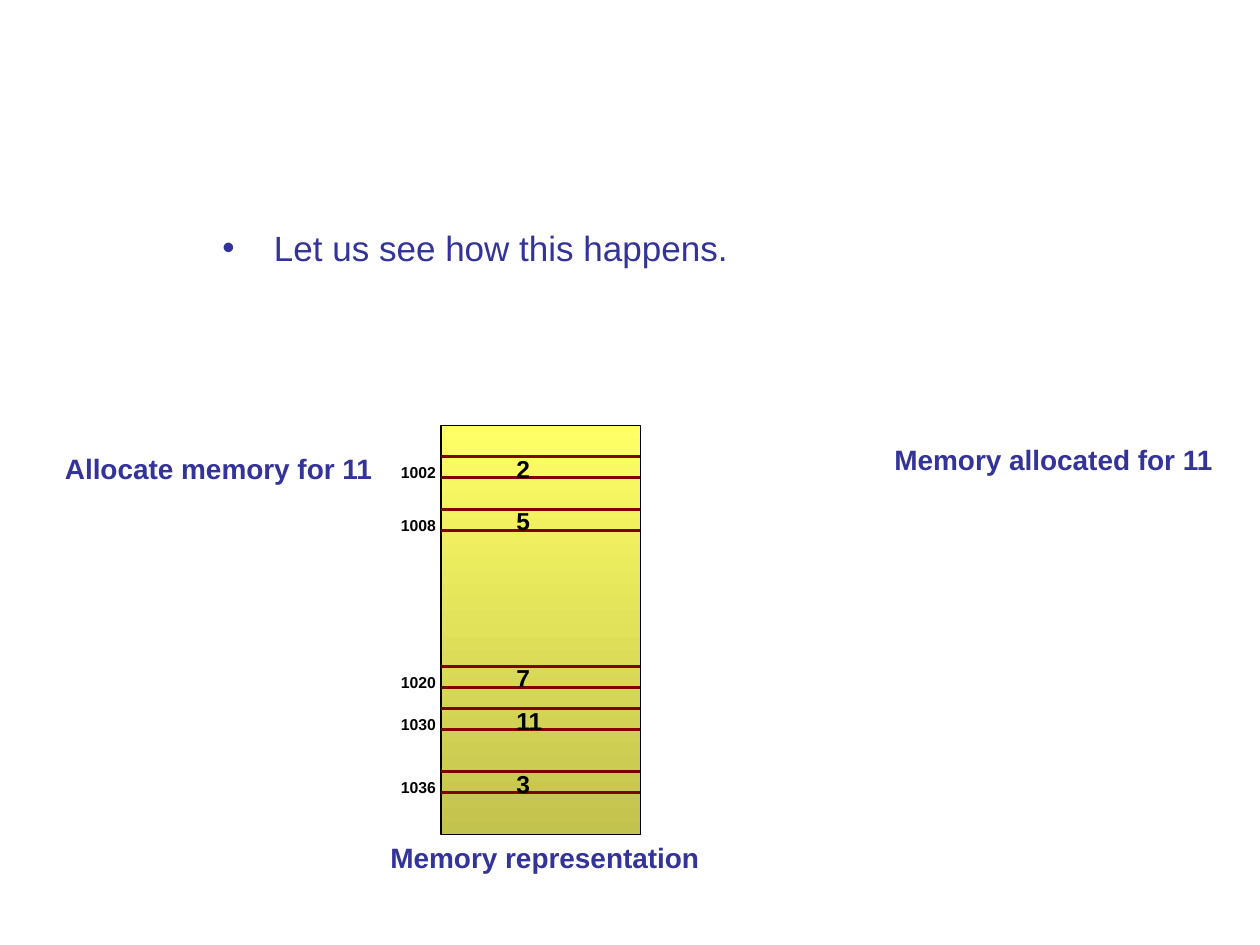
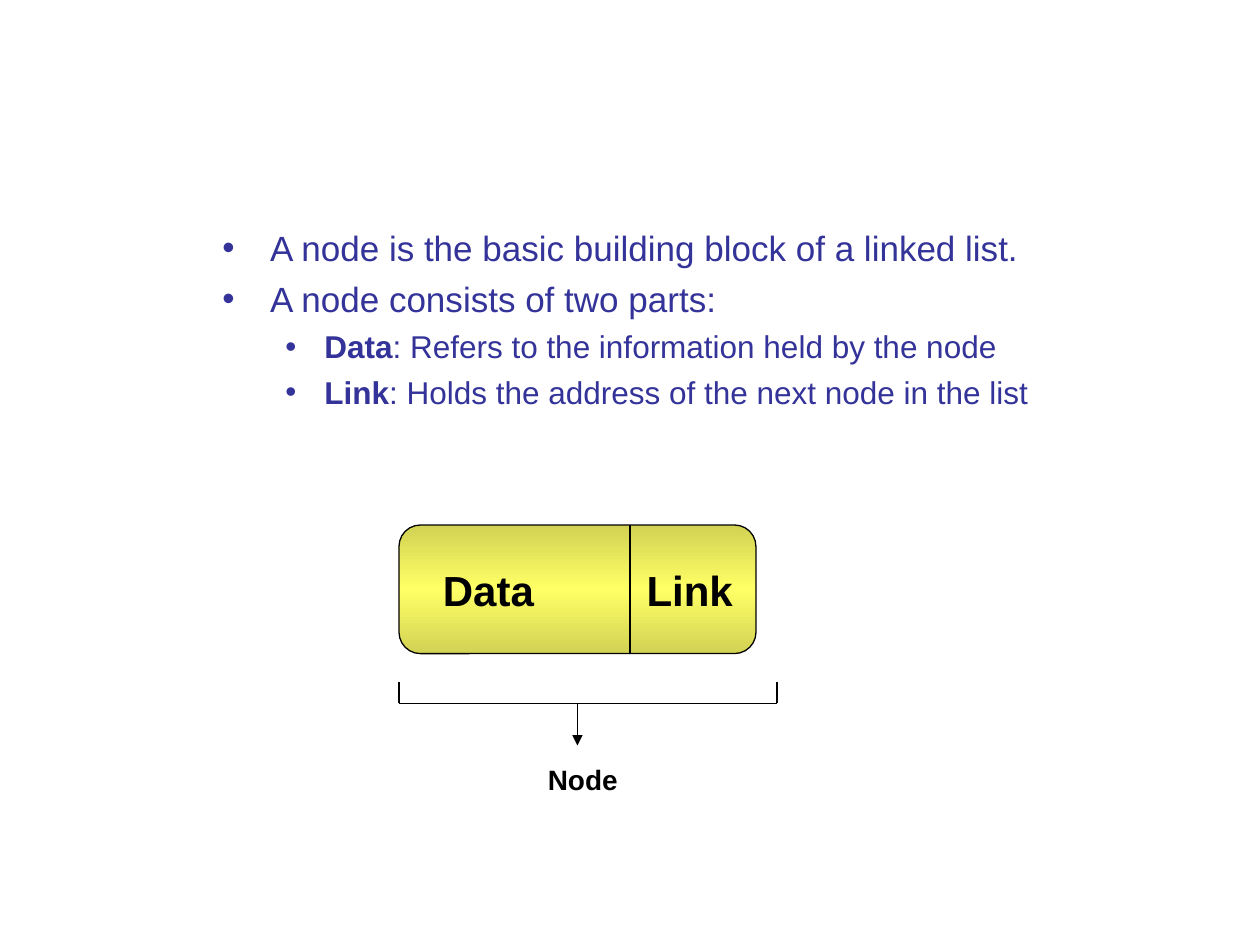
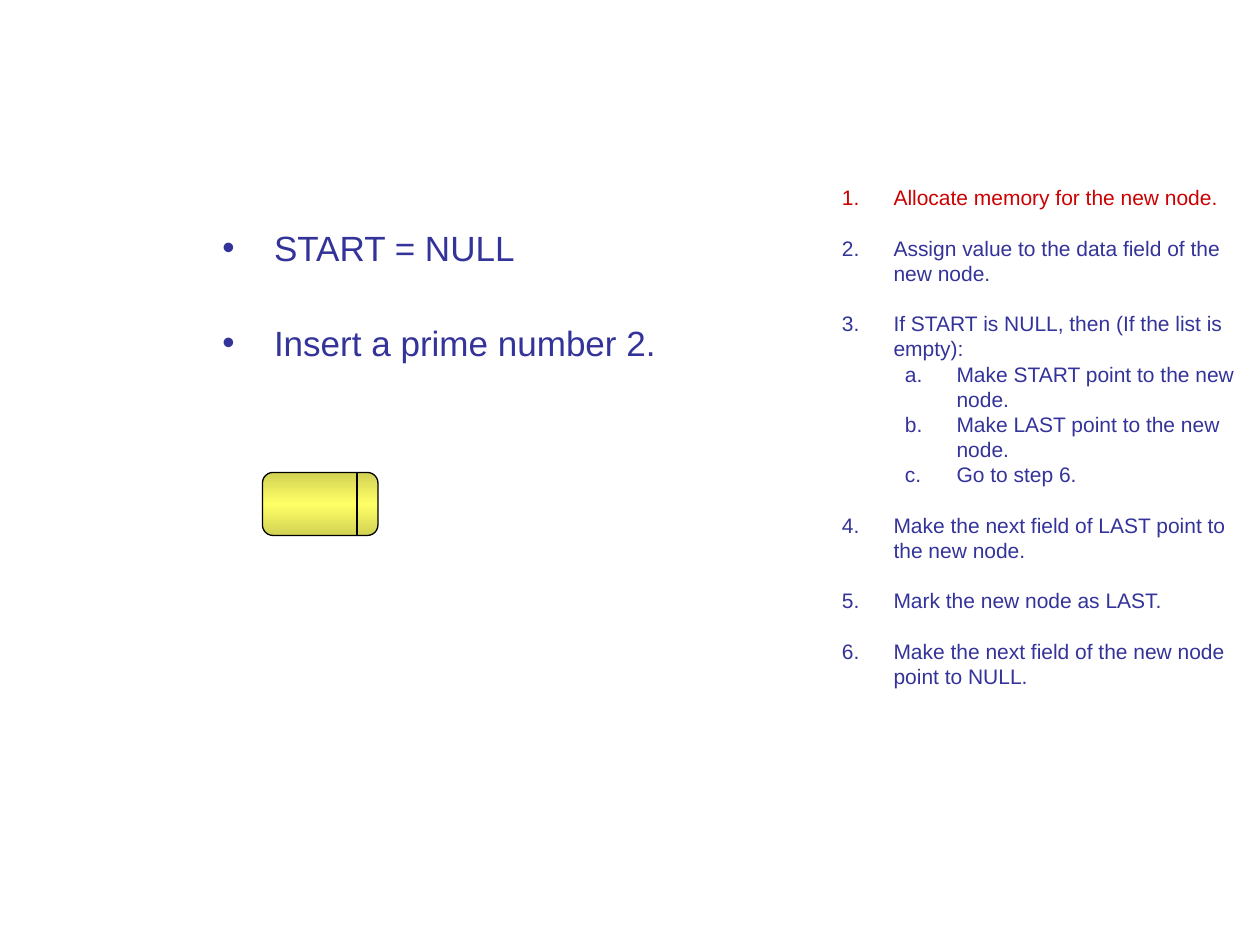
from copy import deepcopy

from lxml.etree import SubElement
from pptx import Presentation
from pptx.dml.color import RGBColor
from pptx.enum.shapes import MSO_CONNECTOR as CONNECTOR, MSO_SHAPE as SHAPE
from pptx.oxml.ns import qn
from pptx.util import Inches, Pt

COLS, ROWS = 120, 90
SLIDE_W, SLIDE_H = Inches(10), Inches(7.5)

FONT = "Arial"
INDIGO = RGBColor(0x33, 0x33, 0x99)
BLACK = RGBColor(0x00, 0x00, 0x00)
MAROON = RGBColor(0x80, 0x00, 0x00)
RED = RGBColor(0xCC, 0x00, 0x00)
YELLOW = RGBColor(0xFF, 0xFF, 0x66)
OLIVE = RGBColor(0xC2, 0xC2, 0x4E)
EDGE_YELLOW = RGBColor(0xD2, 0xD2, 0x54)

# address, value, first row of each cell in memory
MEMORY_CELLS = [
    ("1002", "2", 43.5),
    ("1008", "5", 48.5),
    ("1020", "7", 63.5),
    ("1030", "11", 67.5),
    ("1036", "3", 73.5),
]

# level, text
STEPS = [
    (0, "Allocate memory for the new node."),
    (0, "Assign value to the data field of the new node."),
    (0, "If START is NULL, then (If the list is empty):"),
    (1, "Make START point to the new node."),
    (1, "Make LAST point to the new node."),
    (1, "Go to step 6."),
    (0, "Make the next field of LAST point to the new node."),
    (0, "Mark the new node as LAST."),
    (0, "Make the next field of the new node point to NULL."),
]


def col(n):
    return round(SLIDE_W * n / COLS)


def row(n):
    return round(SLIDE_H * n / ROWS)


def add_box(slide, x, y, w, h):
    tf = slide.shapes.add_textbox(col(x), row(y), col(w), row(h)).text_frame
    tf.word_wrap = True
    return tf


def set_bullet(p, color, indent, hang, number=None):
    """Give the paragraph a round bullet, or a number of the given scheme."""
    pPr = p._p.get_or_add_pPr()
    pPr.set("marL", str(Inches(indent)))
    pPr.set("indent", str(-Inches(hang)))
    SubElement(SubElement(pPr, qn("a:buClr")), qn("a:srgbClr"), val=str(color))
    SubElement(pPr, qn("a:buFont"), typeface=FONT)
    if number:
        SubElement(pPr, qn("a:buAutoNum"), type=number)
    else:
        SubElement(pPr, qn("a:buChar"), char="•")


def add_text(tf, text, size=16, color=INDIGO, bold=False, lead="", level=0,
             before=0, indent=0, hang=None, number=None):
    """Add a paragraph; lead is a bold start, indent makes it a list item."""
    p = tf.paragraphs[0]
    if p.runs:
        p = tf.add_paragraph()
    p.level = level
    if indent:
        set_bullet(p, color, indent, hang or indent, number)
    p.space_before = Pt(before)
    for part, heavy in ((lead, True), (text, bold)):
        if part:
            r = p.add_run()
            r.text = part
            r.font.name, r.font.size = FONT, Pt(size)
            r.font.bold, r.font.color.rgb = heavy, color


def add_label(slide, text, x, y, w, h=4.4, **fmt):
    add_text(add_box(slide, x, y, w, h), text, bold=True, **fmt)


def add_line(slide, x1, y1, x2, y2, color=BLACK, width=0.75, arrow=False):
    cx = slide.shapes.add_connector(
        CONNECTOR.STRAIGHT, col(x1), row(y1), col(x2), row(y2))
    cx.line.color.rgb, cx.line.width = color, Pt(width)
    if arrow:
        SubElement(cx.line._get_or_add_ln(), qn("a:tailEnd"), type="triangle")
    SubElement(cx._element.spPr, qn("a:effectLst"))


def add_gradient_shape(slide, kind, x, y, w, h, colors):
    """Add an outlined shape whose colours run evenly from top to bottom."""
    sp = slide.shapes.add_shape(kind, col(x), row(y), col(w), row(h))
    sp.shadow.inherit = False
    sp.fill.gradient()
    sp.fill.gradient_angle = 270
    stops = sp._element.spPr.find(".//" + qn("a:gsLst"))
    while len(stops) < len(colors):
        stops.append(deepcopy(stops[0]))
    for i, (stop, color) in enumerate(zip(sp.fill.gradient_stops, colors)):
        stop.position = i / (len(colors) - 1)
        stop.color.rgb = color
    sp.line.color.rgb, sp.line.width = BLACK, Pt(0.75)


def add_node(slide, x, y, w, h, link_x):
    add_gradient_shape(slide, SHAPE.ROUNDED_RECTANGLE, x, y, w, h,
                       [EDGE_YELLOW, YELLOW, EDGE_YELLOW])
    add_line(slide, link_x, y, link_x, y + h)


def add_memory_cell(slide, address, value, top, left, right):
    for y in (top, top + 2):
        add_line(slide, left, y, right, y, MAROON, 1.5)
    add_label(slide, value, left + 6, top - 0.9, 5, 4, size=14, color=BLACK)
    add_label(slide, address, left - 5, top, 14, 3, size=9, color=BLACK)


def build_memory_slide(slide):
    left, top, width, height = 42, 40.5, 19, 39
    add_text(add_box(slide, 20, 21, 96, 60), "Let us see how this happens.",
             size=20, indent=0.41)
    add_gradient_shape(slide, SHAPE.RECTANGLE, left, top, width, height,
                       [YELLOW, OLIVE])
    for address, value, cell_top in MEMORY_CELLS:
        add_memory_cell(slide, address, value, cell_top, left, left + width)
    add_label(slide, "Allocate memory for 11", 5, 42.4, 33)
    add_label(slide, "Memory allocated for 11", 84, 41.6, 33)
    add_label(slide, "Memory representation", 36, top + height, 39)


def build_node_slide(slide):
    tf = add_box(slide, 20, 21, 96, 19)
    add_text(tf, "A node is the basic building block of a linked list.",
             size=20, indent=0.38)
    add_text(tf, "A node consists of two parts:", size=20, before=5, indent=0.38)
    for lead, text in (
            ("Data", ": Refers to the information held by the node"),
            ("Link", ": Holds the address of the next node in the list")):
        add_text(tf, text, size=18, lead=lead, level=1, before=4.5,
                 indent=0.81, hang=0.31)

    add_node(slide, 38, 50, 34, 12.25, link_x=60)
    for text, x in (("Data", 41), ("Link", 60.4)):
        add_label(slide, text, x, 53.2, 12, 6, size=24, color=BLACK)

    left, right, top, bottom = 38, 74, 65, 67
    for x in (left, right):
        add_line(slide, x, top, x, bottom)
    add_line(slide, left, bottom, right, bottom)
    add_line(slide, 55, bottom, 55, bottom + 4, arrow=True)
    add_label(slide, "Node", 51, 72, 11, color=BLACK)


def build_insert_slide(slide):
    add_node(slide, 25, 45, 11, 6, link_x=34)
    tf = add_box(slide, 79, 17, 40, 49.2)
    for i, (level, text) in enumerate(STEPS):
        add_text(tf, text, size=12, color=INDIGO if i else RED, level=level,
                 before=0 if level or not i else 14.4,
                 indent=0.41 + level / 2, hang=0.41,
                 number="alphaLcPeriod" if level else "arabicPeriod")
    for text, y in (("START = NULL", 21), ("Insert a prime number 2.", 30)):
        add_text(add_box(slide, 20, y, 56, 6), text, size=20, indent=0.41)


def main():
    prs = Presentation()
    prs.slide_width, prs.slide_height = SLIDE_W, SLIDE_H
    for build in (build_memory_slide, build_node_slide, build_insert_slide):
        build(prs.slides.add_slide(prs.slide_layouts[6]))
    prs.save("out.pptx")


if __name__ == "__main__":
    main()
